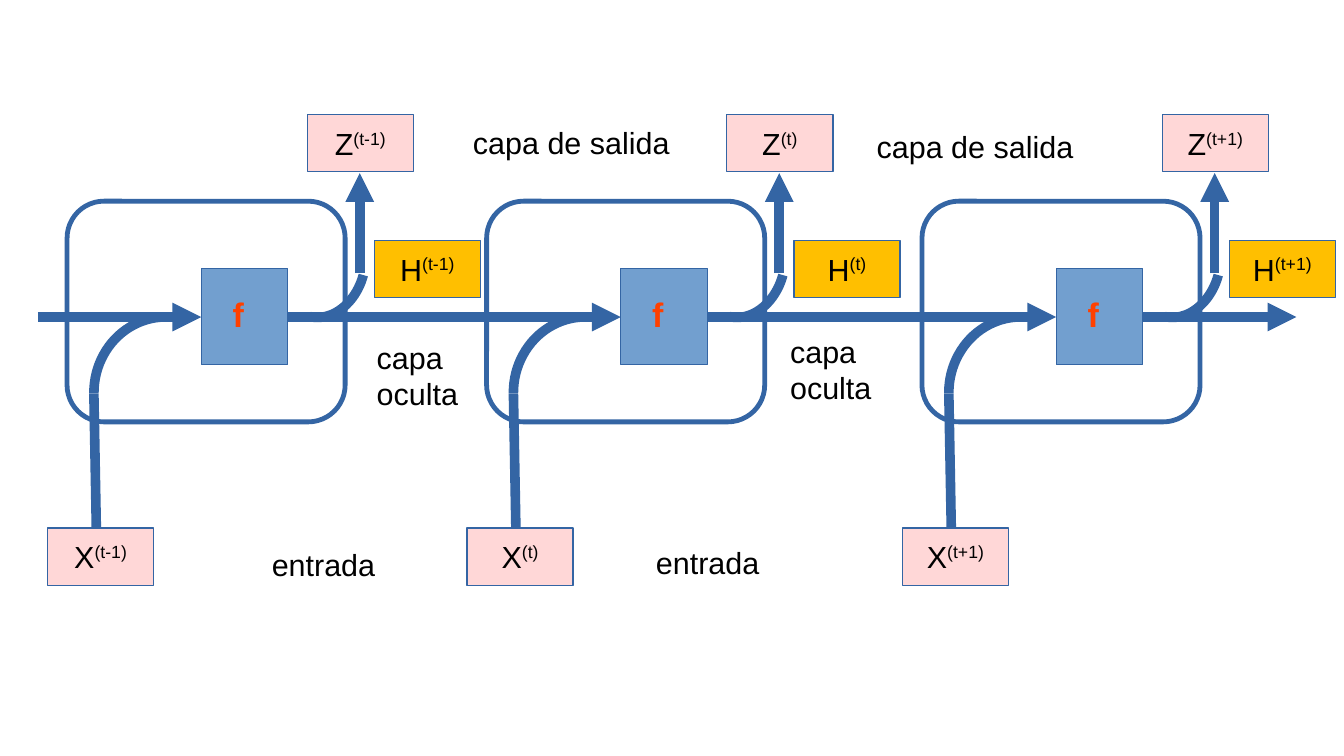
"""Draws a recurrent neural network unrolled over three time steps."""
import dataclasses

import pptx
import pptx.dml.color
import pptx.enum.shapes
import pptx.enum.text
import pptx.oxml
import pptx.oxml.ns
import pptx.util

SHAPES = pptx.enum.shapes.MSO_SHAPE
PITCH = pptx.util.Inches(0.1)
SLIDE_SIZE = (110.2, 62)
FLOW_ROW = 26
STEPS = [("(t-1)", 3.1), ("(t)", 37.5), ("(t+1)", 73.2)]
FLOW_END = 106.3
LABEL_SIZE = (8.7, 4.7)
CAPTIONS = [
    ("capa de salida", 37.8, 9.7, 19.7, 3.8),
    ("capa de salida", 70.9, 10, 19.7, 3.8),
    ("capa oculta", 29.9, 27.3, 11.8, 6.6),
    ("capa oculta", 63.8, 26.8, 11.8, 6.6),
    ("entrada", 21.3, 44.3, 11.8, 3.8),
    ("entrada", 52.8, 44.1, 11.8, 3.8),
]


@dataclasses.dataclass(frozen=True)
class Theme:
    font: str = "Arial"
    stroke: str = "3465A4"
    cell: str = "FFFFFF"
    function: str = "729FCF"
    function_text: str = "FF4000"
    hidden: str = "FFBF00"
    port: str = "FFD7D7"
    text: str = "000000"
    text_size: float = 18
    function_size: float = 20
    hairline: float = 0
    frame: float = 2.83
    flow: float = 5.67


THEME = Theme()


def grid(*lengths):
    return [pptx.util.Emu(round(length * PITCH)) for length in lengths]


def rgb(code):
    return pptx.dml.color.RGBColor.from_string(code)


def set_stroke(line, width):
    line.color.rgb = rgb(THEME.stroke)
    line.width = pptx.util.Pt(width)


def set_font(paragraph, size, color, bold=False):
    paragraph.font.name = THEME.font
    paragraph.font.size = pptx.util.Pt(size)
    paragraph.font.color.rgb = rgb(color)
    paragraph.font.bold = bold


def add_block(slide, kind, box, width, fill=None):
    block = slide.shapes.add_shape(kind, *grid(*box))
    block.shadow.inherit = False
    set_stroke(block.line, width)
    if fill:
        block.fill.solid()
        block.fill.fore_color.rgb = rgb(fill)
    else:
        block.fill.background()
    return block


def add_bend(slide, box, angles, rotation=0):
    bend = add_block(slide, SHAPES.ARC, box, THEME.flow)
    for index, angle in enumerate(angles):
        bend.adjustments[index] = angle * 0.6
    bend.rotation = rotation


def add_flow(slide, start, end, arrow=False):
    flow = slide.shapes.add_connector(
        pptx.enum.shapes.MSO_CONNECTOR.STRAIGHT, *grid(*start, *end))
    set_stroke(flow.line, THEME.flow)
    properties = flow._element.spPr
    if arrow:
        head = pptx.oxml.parse_xml(
            f'<a:tailEnd {pptx.oxml.ns.nsdecls("a")} type="triangle"/>')
        flow.line._get_or_add_ln().append(head)
    properties.append(pptx.oxml.parse_xml(
        f'<a:effectLst {pptx.oxml.ns.nsdecls("a")}/>'))


def add_label(slide, letter, step, left, top, fill):
    label = add_block(slide, SHAPES.RECTANGLE, (left, top, *LABEL_SIZE),
                      THEME.hairline, fill)
    frame = label.text_frame
    frame.word_wrap = False
    frame.vertical_anchor = pptx.enum.text.MSO_ANCHOR.MIDDLE
    paragraph = frame.paragraphs[0]
    paragraph.alignment = pptx.enum.text.PP_ALIGN.CENTER
    paragraph.add_run().text = letter
    superscript = paragraph.add_run()
    superscript.text = step
    superscript._r.get_or_add_rPr().set("baseline", "33000")
    set_font(paragraph, THEME.text_size, THEME.text)


def add_caption(slide, text, box, size, color, bold=False):
    frame = slide.shapes.add_textbox(*grid(*box)).text_frame
    frame.word_wrap = True
    frame.text = text
    set_font(frame.paragraphs[0], size, color, bold)


def add_cell(slide, step, left, end, is_last):
    cell = add_block(slide, SHAPES.ROUNDED_RECTANGLE,
                     (left + 2.4, 16.5, 22.8, 18.1), THEME.frame, THEME.cell)
    cell.adjustments[0] = 0.167
    add_bend(slide, (left + 20, 17.3, 6.8, 8.8), (179, 268.5), 195.6)
    add_flow(slide, (left + 26.4, 22.4), (left + 26.4, 14.2), arrow=True)
    add_flow(slide, (left + 20.5, FLOW_ROW), (end, FLOW_ROW), arrow=is_last)
    add_bend(slide, (left + 4.6, FLOW_ROW, 11.8, 12.4), (179.2, 268.2))
    add_flow(slide, (left, FLOW_ROW), (left + 13.4, FLOW_ROW), arrow=True)
    add_flow(slide, (left + 4.6, 32.3), (left + 4.8, 43.3))
    add_block(slide, SHAPES.RECTANGLE, (left + 13.4, 22, 7.1, 7.9),
              THEME.hairline, THEME.function)
    add_caption(slide, "f", (left + 15, 23.6, 4.7, 4.1),
                THEME.function_size, THEME.function_text, bold=True)
    add_label(slide, "H", step, left + 27.6, 19.7, THEME.hidden)
    add_label(slide, "X", step, left + 0.8, 43.3, THEME.port)
    add_label(slide, "Z", step, left + 22.1, 9.4, THEME.port)


def main():
    deck = pptx.Presentation()
    deck.slide_width, deck.slide_height = grid(*SLIDE_SIZE)
    slide = deck.slides.add_slide(deck.slide_layouts[6])
    ends = [left for _, left in STEPS[1:]] + [FLOW_END]
    for (step, left), end in zip(STEPS, ends):
        add_cell(slide, step, left, end, is_last=end == FLOW_END)
    for text, *box in CAPTIONS:
        add_caption(slide, text, box, THEME.text_size, THEME.text)
    deck.save("out.pptx")


if __name__ == "__main__":
    main()
